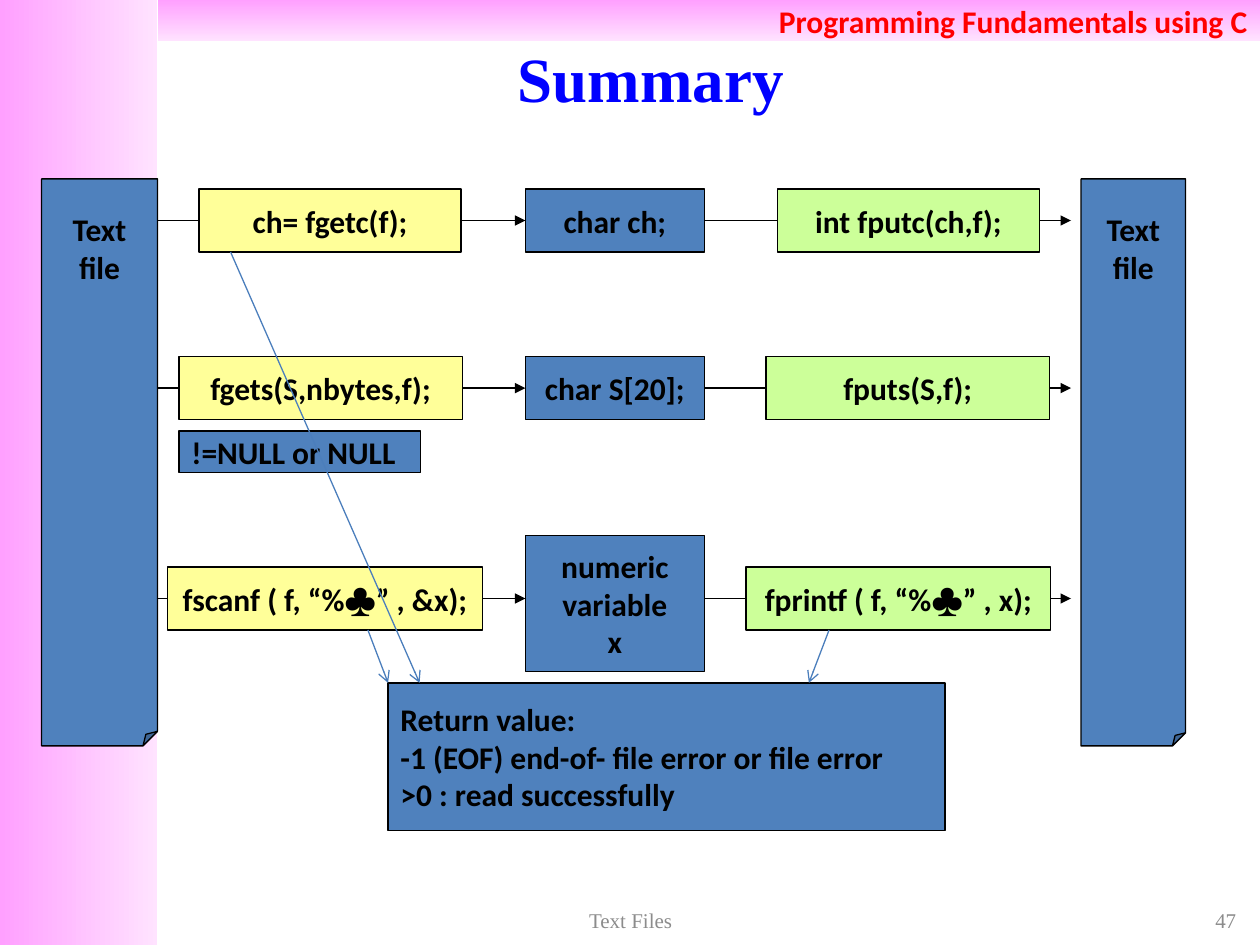
from pptx import Presentation
from pptx.util import Inches, Pt
from pptx.dml.color import RGBColor
from pptx.enum.shapes import MSO_SHAPE as Shape, MSO_CONNECTOR as Conn
from pptx.enum.text import PP_ALIGN as Align, MSO_ANCHOR as Anchor
from pptx.oxml.ns import qn
from lxml.etree import SubElement

BLUE, YELLOW, GREEN = "4F81BD", "FFFF99", "CCFF99"
rgb = RGBColor.from_string


def write(shape, lines, align=Align.CENTER, size=18, font="Calibri",
          color="000000", bold=True, wrap=False):
    frame = shape.text_frame
    frame.word_wrap = wrap
    frame.vertical_anchor = Anchor.MIDDLE
    for i, line in enumerate(lines):
        para = frame.add_paragraph() if i else frame.paragraphs[0]
        para.alignment = align
        run = para.add_run()
        run.text = line
        run.font.size, run.font.name, run.font.bold = Pt(size), font, bold
        run.font.color.rgb = rgb(color)


def arrow(x1, y1, x2, y2, color, head):
    line = slide.shapes.add_connector(
        Conn.STRAIGHT, Inches(x1), Inches(y1), Inches(x2), Inches(y2))
    line.line.color.rgb = rgb(color)
    line.line.width = Pt(0.75)
    props = line._element.spPr
    SubElement(props.find(qn("a:ln")), qn("a:tailEnd"), type=head)
    SubElement(props, qn("a:effectLst"))


prs = Presentation()
prs.slide_width, prs.slide_height = Inches(10), Inches(7.5)
slide = prs.slides.add_slide(prs.slide_layouts[5])

# Pink side and top bands
for x, y, w, h, angle in [(0, 0, 1.25, 7.5, 0), (1.25, 0, 8.75, 0.33, 270)]:
    band = slide.shapes.add_shape(
        Shape.RECTANGLE, Inches(x), Inches(y), Inches(w), Inches(h))
    band.shadow.inherit = False
    band.line.fill.background()
    band.fill.gradient()
    band.fill.gradient_angle = angle
    for stop, color in zip(band.fill.gradient_stops, ["FFA0FF", "FFE3FF"]):
        stop.color.rgb = rgb(color)
write(band, ["Programming Fundamentals using C"], Align.RIGHT, color="FF0000")

title = slide.shapes.title
title.left, title.top = Inches(0.83), Inches(0.3)
title.width, title.height = Inches(8.67), Inches(0.62)
write(title, ["Summary"], size=36, font="Times New Roman", color="0000FF",
      wrap=True)

# Flow from file to variable and back to file
for y in [1.75, 3.08, 4.75]:
    for x in [1.25, 5.58]:
        arrow(x, y, x + 2.92, y, "000000", "triangle")

boxes = [
    (4.17, 1.5, 1.42, 0.5, BLUE, ["char ch;"]),
    (4.17, 2.83, 1.42, 0.5, BLUE, ["char S[20];"]),
    (4.17, 4.25, 1.42, 1.08, BLUE, ["numeric", "variable", "x"]),
    (1.58, 1.5, 2.08, 0.5, YELLOW, ["ch= fgetc(f);"]),
    (6.17, 1.5, 2.08, 0.5, GREEN, ["int fputc(ch,f);"]),
    (1.42, 2.83, 2.25, 0.5, YELLOW, ["fgets(S,nbytes,f);"]),
    (6.08, 2.83, 2.25, 0.5, GREEN, ["fputs(S,f);"]),
    (1.33, 4.5, 2.5, 0.5, YELLOW, ["fscanf ( f, “%♣” , &x);"]),
    (5.92, 4.5, 2.42, 0.5, GREEN, ["fprintf ( f, “%♣” , x);"]),
]
files = [(x, 1.42, w, 4.5, BLUE, ["Text", "file"])
         for x, w in [(0.33, 0.92), (8.58, 0.83)]]
notes = [
    (3.08, 5.42, 4.42, 1.17, BLUE,
     ["Return value:", "-1 (EOF) end-of- file error or file error",
      ">0 : read successfully"]),
    (1.42, 3.42, 1.92, 0.33, BLUE, ["!=NULL or NULL"]),
]
for group, kind, align in [(files, Shape.FOLDED_CORNER, Align.CENTER),
                           (boxes, Shape.RECTANGLE, Align.CENTER),
                           (notes, Shape.RECTANGLE, Align.LEFT)]:
    for x, y, w, h, color, lines in group:
        box = slide.shapes.add_shape(
            kind, Inches(x), Inches(y), Inches(w), Inches(h))
        box.shadow.inherit = False
        box.fill.solid()
        box.fill.fore_color.rgb = rgb(color)
        box.line.color.rgb = rgb("000000")
        box.line.width = Pt(0.75)
        write(box, lines, align)
        if kind == Shape.FOLDED_CORNER:
            geom = box._element.spPr.find(qn("a:prstGeom"))
            SubElement(geom.find(qn("a:avLst")), qn("a:gd"),
                       name="adj", fmla="val 12500")
            box.text_frame.vertical_anchor = Anchor.TOP
            box.text_frame.margin_top = Inches(0.25)

# Calls that share the return value
for x1, y1, x2 in [(1.83, 2, 3.33), (2.92, 5, 3.08), (6.58, 5, 6.42)]:
    arrow(x1, y1, x2, 5.42, "4B7EBC", "arrow")

for x, w, text, align in [(7.58, 2.33, "47", Align.RIGHT),
                          (3.42, 3.17, "Text Files", Align.CENTER)]:
    foot = slide.shapes.add_textbox(
        Inches(x), Inches(7.17), Inches(w), Inches(0.27))
    write(foot, [text], align, 12, "Times New Roman", "8C8C8C", False, True)

prs.save("out.pptx")
